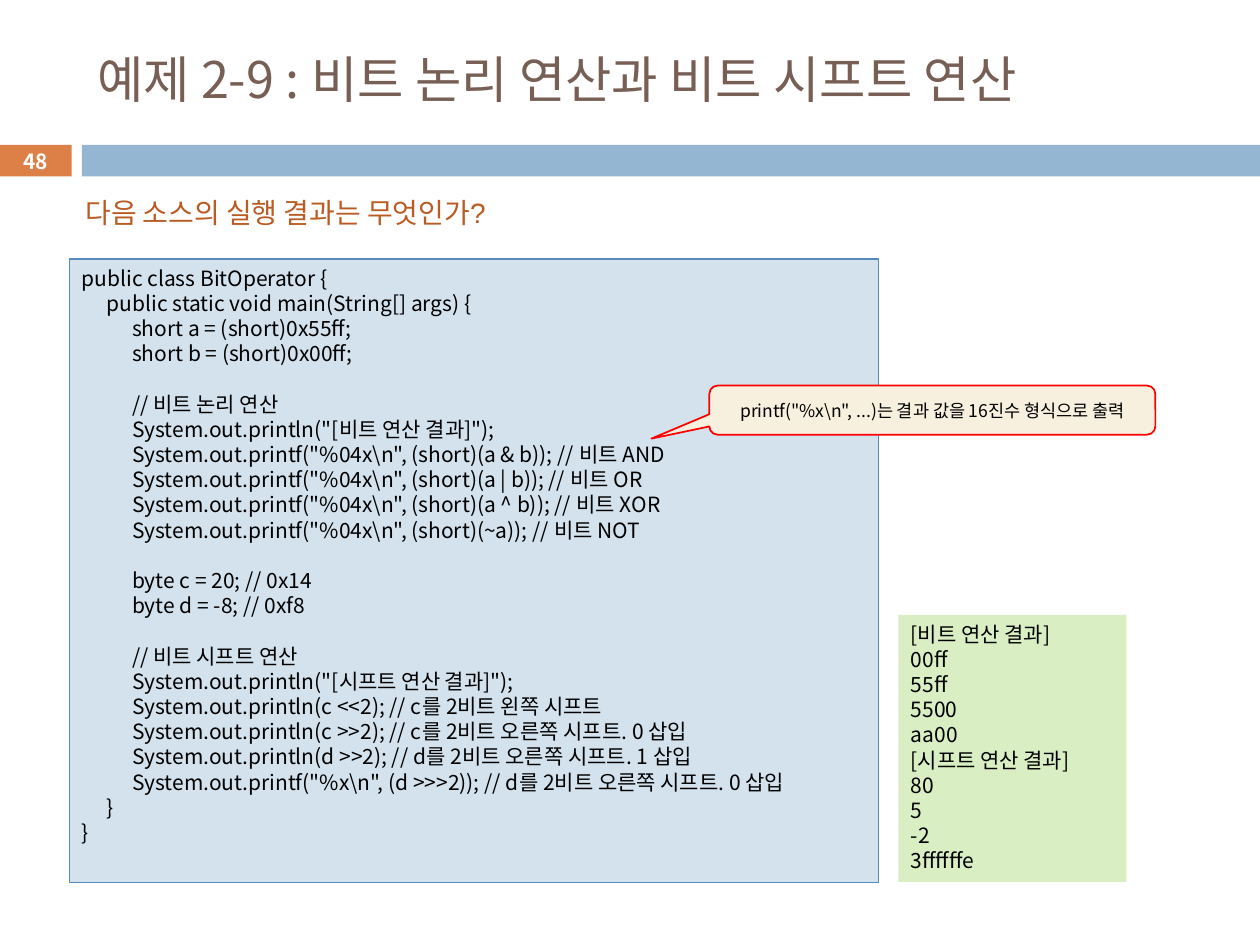
"""Build the lecture slide on Java bitwise and shift operators."""
from lxml import etree
from pptx import Presentation
from pptx.dml.color import RGBColor
from pptx.enum.shapes import MSO_SHAPE as SHAPE
from pptx.enum.text import MSO_ANCHOR as ANCHOR, PP_ALIGN as ALIGN
from pptx.oxml.ns import qn
from pptx.util import Pt

COLORS = {
    "title": "775F55", "orange": "DD8047", "blue": "94B6D2", "question": "B95B22",
    "code": "D4E2ED", "code_line": "558BB8", "output": "DAEEC4",
    "callout": "F7F0DE", "red": "FF0000", "black": "000000", "white": "FFFFFF",
}
KOREAN = "Noto Sans CJK KR"
LINE = 14.4
TAB = 14.4

CODE = [
    "public class BitOperator {",
    "    public static void main(String[] args) {",
    "        short a = (short)0x55ff;",
    "        short b = (short)0x00ff;",
    "",
    "        // 비트 논리 연산",
    '        System.out.println("[비트 연산 결과]");',
    r'        System.out.printf("%04x\n", (short)(a & b)); // 비트 AND',
    r'        System.out.printf("%04x\n", (short)(a | b)); // 비트 OR',
    r'        System.out.printf("%04x\n", (short)(a ^ b)); // 비트 XOR',
    r'        System.out.printf("%04x\n", (short)(~a)); // 비트 NOT',
    "",
    "        byte c = 20; // 0x14",
    "        byte d = -8; // 0xf8",
    "",
    "        // 비트 시프트 연산",
    '        System.out.println("[시프트 연산 결과]");',
    "        System.out.println(c <<2); // c를 2비트 왼쪽 시프트",
    "        System.out.println(c >>2); // c를 2비트 오른쪽 시프트. 0 삽입",
    "        System.out.println(d >>2); // d를 2비트 오른쪽 시프트. 1 삽입",
    r'        System.out.printf("%x\n", (d >>>2)); // d를 2비트 오른쪽 시프트. 0 삽입',
    "    }",
    "}",
]
OUTPUT = ["[비트 연산 결과]", "00ff", "55ff", "5500", "aa00",
          "[시프트 연산 결과]", "80", "5", "-2", "3ffffffe"]


def add_box(kind, left, top, width, height, fill, line=None, weight=0.75):
    sp = s.shapes.add_shape(kind, Pt(left), Pt(top), Pt(width), Pt(height))
    sp.shadow.inherit = False
    sp.fill.solid()
    sp.fill.fore_color.rgb = RGBColor.from_string(COLORS[fill])
    if line:
        sp.line.color.rgb = RGBColor.from_string(COLORS[line])
        sp.line.width = Pt(weight)
    else:
        sp.line.fill.background()
    return sp


def write(sp, rows, size, color="black", name=KOREAN, bold=False,
          align=ALIGN.LEFT, anchor=ANCHOR.TOP, spacing=None):
    tf = sp.text_frame
    tf.word_wrap = True
    tf.vertical_anchor = anchor
    p, gap = tf.paragraphs[0], 0
    for i, row in enumerate(rows):
        if not row:
            gap = LINE
            continue
        if i:
            p = tf.add_paragraph()
        p.alignment = align
        if spacing:
            p.line_spacing = Pt(spacing)
        if gap:
            p.space_before = Pt(gap)
            gap = 0
        body = row.lstrip(" ")
        level = (len(row) - len(body)) // 4
        if level:
            tabs = etree.SubElement(p._p.get_or_add_pPr(), qn("a:tabLst"))
            for n in range(1, level + 1):
                etree.SubElement(tabs, qn("a:tab"), pos=str(Pt(TAB * n)), algn="l")
        r = p.add_run()
        r.text = "\t" * level + body
        for key, value in {"name": name, "size": Pt(size), "bold": bold}.items():
            setattr(r.font, key, value)
        r.font.color.rgb = RGBColor.from_string(COLORS[color])
        latin = r._r.rPr.find(qn("a:latin"))
        latin.addnext(etree.Element(qn("a:ea"), typeface=KOREAN))


prs = Presentation()
prs.slide_width, prs.slide_height = Pt(720), Pt(540)
s = prs.slides.add_slide(prs.slide_layouts[5])

title = s.shapes.title
for key, value in {"left": 48.24, "top": 18, "width": 642.24, "height": 53.28}.items():
    setattr(title, key, Pt(value))
write(title, ["예제 2-9 : 비트 논리 연산과 비트 시프트 연산"], 28.8, "title", anchor=ANCHOR.MIDDLE)

number = add_box(SHAPE.RECTANGLE, 0, 82.8, 41.04, 18, "orange")
write(number, ["48"], 11.9, "white", bold=True, align=ALIGN.CENTER, anchor=ANCHOR.MIDDLE)
add_box(SHAPE.RECTANGLE, 46.8, 82.8, 673.2, 18, "blue")

code = add_box(SHAPE.RECTANGLE, 39.6, 148, 462.24, 356.4, "code", "code_line")
write(code, CODE, 12, spacing=LINE)

question = s.shapes.add_textbox(Pt(41.76), Pt(108), Pt(414.72), Pt(26.64))
write(question, ["다음 소스의 실행 결과는 무엇인가?"], 16, "question", name="Arial")

output = add_box(SHAPE.RECTANGLE, 513.36, 351.36, 130.32, 152.64, "output")
write(output, OUTPUT, 12, spacing=LINE)

callout = add_box(SHAPE.ROUNDED_RECTANGULAR_CALLOUT, 405.36, 220.32, 254.88, 28.08,
                  "callout", "red", 1)
for i, value in enumerate((-0.63, 0.58, 0.17)):
    callout.adjustments[i] = value
write(callout, [r'printf("%x\n", ...)는 결과 값을 16진수 형식으로 출력'], 10,
      align=ALIGN.CENTER, anchor=ANCHOR.MIDDLE)

prs.save("out.pptx")
